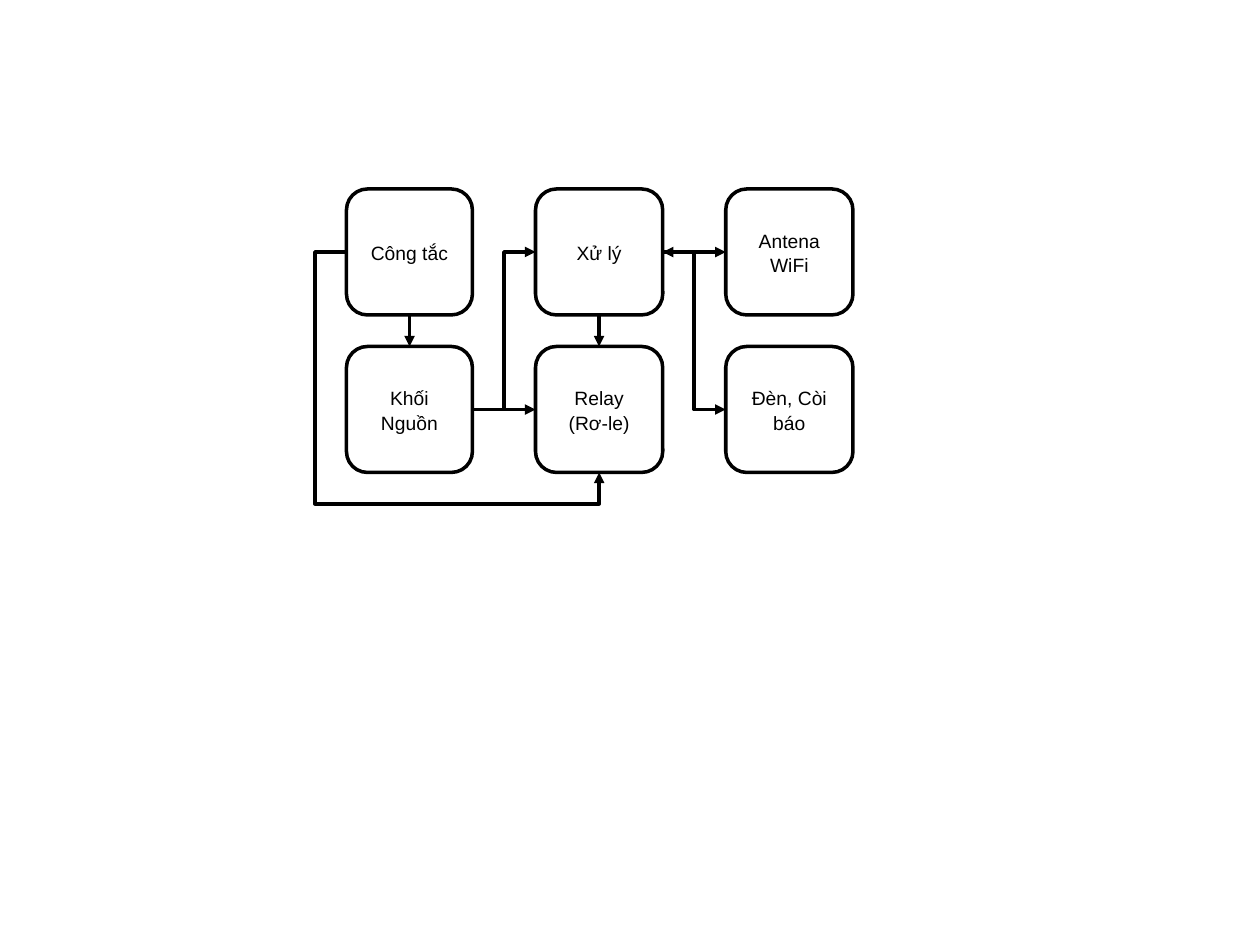
from lxml.etree import SubElement
from pptx import Presentation
from pptx.dml.color import RGBColor
from pptx.enum.shapes import MSO_CONNECTOR, MSO_SHAPE
from pptx.enum.text import MSO_ANCHOR, PP_ALIGN
from pptx.oxml.ns import qn
from pptx.util import Inches, Pt

BLACK = RGBColor(0, 0, 0)
WHITE = RGBColor(255, 255, 255)
TOP, LEFT, BOTTOM, RIGHT = range(4)

deck = Presentation()
deck.slide_width, deck.slide_height = Inches(10), Inches(7.5)
slide = deck.slides.add_slide(deck.slide_layouts[6])


def add_block(text, left, top, width, height=1, size=11, font="Arial", color=BLACK):
    block = slide.shapes.add_shape(
        MSO_SHAPE.ROUNDED_RECTANGLE,
        Inches(left), Inches(top), Inches(width), Inches(height))
    block.shadow.inherit = False
    block.fill.solid()
    block.fill.fore_color.rgb = WHITE
    block.line.color.rgb = BLACK
    block.line.width = Pt(2)
    frame = block.text_frame
    frame.word_wrap = True
    frame.vertical_anchor = MSO_ANCHOR.MIDDLE
    paragraph = frame.paragraphs[0]
    paragraph.alignment = PP_ALIGN.CENTER
    paragraph.line_spacing = 1.07
    paragraph.space_after = Pt(8)
    run = paragraph.add_run()
    run.text = text
    run.font.size = Pt(size)
    run.font.name = font
    run.font.color.rgb = color
    return block


def add_arrow(kind, source, source_side, target, target_side, ends=("tailEnd",)):
    arrow = slide.shapes.add_connector(kind, 0, 0, 0, 0)
    arrow.begin_connect(source, source_side)
    arrow.end_connect(target, target_side)
    arrow.line.color.rgb = BLACK
    arrow.line.width = Pt(2)
    for end in ends:
        SubElement(arrow.line._get_or_add_ln(), qn("a:" + end), type="triangle")
    SubElement(arrow._element.spPr, qn("a:effectLst"))
    return arrow


columns = [
    (2.75, 1, ("Công tắc", "Khối Nguồn")),
    (4.25, 1.01, ("Xử lý", "Relay (Rơ-le)")),
    (5.76, 1.01, ("Antena WiFi", "Đèn, Còi báo")),
]
blocks = [
    add_block(label, left, 1.5 + 1.25 * row, width)
    for left, width, labels in columns
    for row, label in enumerate(labels)
]
switch, power, processor, relay, antenna, alarm = blocks

STRAIGHT, ELBOW = MSO_CONNECTOR.STRAIGHT, MSO_CONNECTOR.ELBOW
add_arrow(STRAIGHT, switch, BOTTOM, power, TOP)
add_arrow(STRAIGHT, processor, BOTTOM, relay, TOP)
add_arrow(STRAIGHT, power, RIGHT, relay, LEFT)
add_arrow(STRAIGHT, processor, RIGHT, antenna, LEFT, ends=("headEnd", "tailEnd"))
add_arrow(ELBOW, power, RIGHT, processor, LEFT)
add_arrow(ELBOW, processor, RIGHT, alarm, LEFT)

bypass = add_arrow(ELBOW, switch, LEFT, relay, BOTTOM)
geometry = bypass._element.spPr.find(qn("a:prstGeom"))
geometry.set("prst", "bentConnector4")
bends = geometry.find(qn("a:avLst"))
for name, value in (("adj1", -12500), ("adj2", 114200)):
    SubElement(bends, qn("a:gd"), name=name, fmla=f"val {value}")

deck.save("out.pptx")
